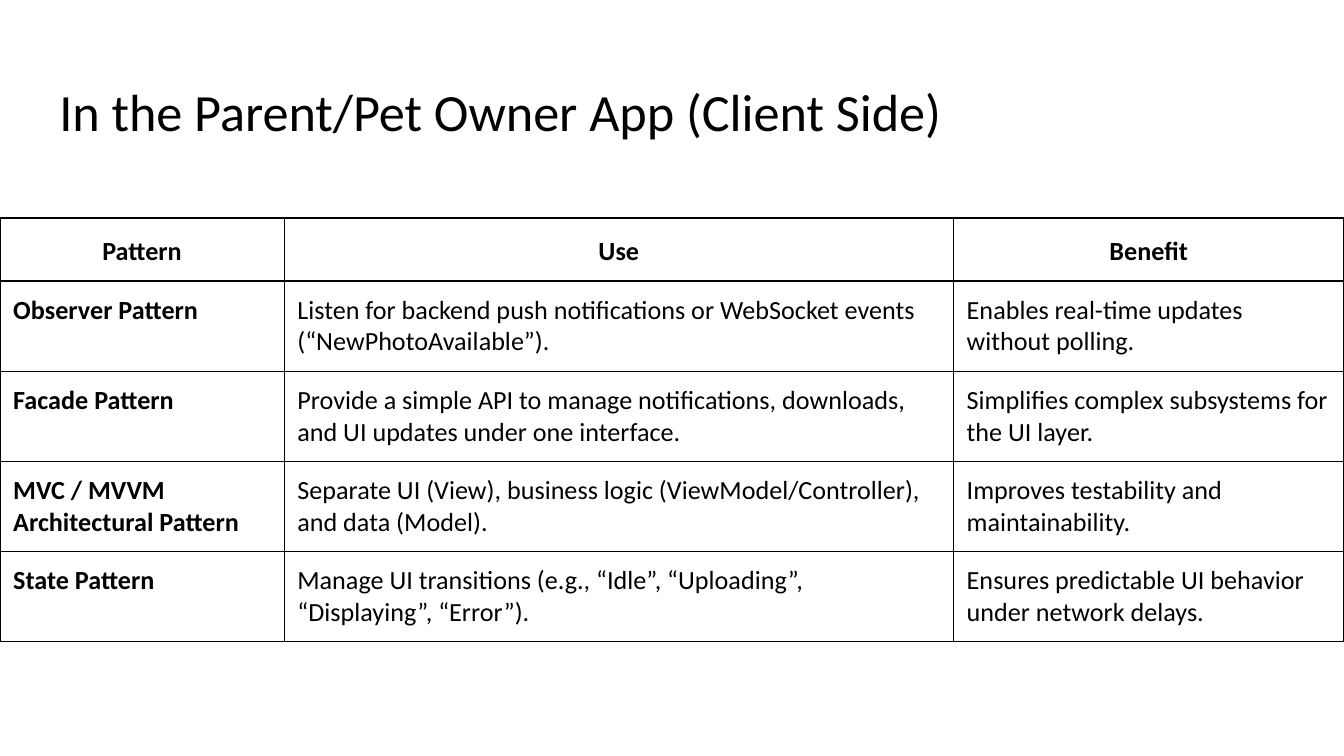
from lxml.etree import SubElement
from pptx import Presentation
from pptx.dml.color import RGBColor
from pptx.enum.text import MSO_ANCHOR, PP_ALIGN
from pptx.oxml.ns import qn
from pptx.util import Cm, Pt

COLORS = {"ink": "000000", "line": "000000"}
INSET = Cm(0.25)

HEAD = ["Pattern", "Use", "Benefit"]
ROWS = [
    ["Observer Pattern",
     "Listen for backend push notifications or WebSocket events (“NewPhotoAvailable”).",
     "Enables real-time updates without polling."],
    ["Facade Pattern",
     "Provide a simple API to manage notifications, downloads, and UI updates under one interface.",
     "Simplifies complex subsystems for the UI layer."],
    ["MVC / MVVM Architectural Pattern",
     "Separate UI (View), business logic (ViewModel/Controller), and data (Model).",
     "Improves testability and maintainability."],
    ["State Pattern",
     "Manage UI transitions (e.g., “Idle”, “Uploading”, “Displaying”, “Error”).",
     "Ensures predictable UI behavior under network delays."],
]


def write(frame, text, size=14, bold=False, align=PP_ALIGN.LEFT, space=1.0):
    par = frame.paragraphs[0]
    par.alignment = align
    par.line_spacing = space
    run = par.add_run()
    run.text = text
    run.font.name = "Calibri"
    run.font.size = Pt(size)
    run.font.bold = bold
    run.font.color.rgb = RGBColor.from_string(COLORS["ink"])


def inset(item):
    item.margin_left = item.margin_right = INSET
    item.margin_top = item.margin_bottom = INSET
    item.vertical_anchor = MSO_ANCHOR.TOP


class Deck:
    def __init__(self, slide):
        self.slide = slide

    def title(self, text, left, top, width, height):
        shape = self.slide.shapes.title
        shape.left, shape.top = Cm(left), Cm(top)
        shape.width, shape.height = Cm(width), Cm(height)
        frame = shape.text_frame
        frame.word_wrap = True
        inset(frame)
        write(frame, text, size=28)

    def border(self, cell, width=0.75):
        props = cell._tc.get_or_add_tcPr()
        for side in ("lnL", "lnR", "lnT", "lnB"):
            line = SubElement(props, qn(f"a:{side}"), w=str(Pt(width)))
            fill = SubElement(line, qn("a:solidFill"))
            SubElement(fill, qn("a:srgbClr"), val=COLORS["line"])

    def table(self, head, rows, left, top, widths, heights):
        grid = self.slide.shapes.add_table(
            len(heights), len(widths), Cm(left), Cm(top),
            Cm(sum(widths)), Cm(sum(heights))).table
        grid.horz_banding = False
        for col, width in zip(grid.columns, widths):
            col.width = Cm(width)
        for row, height in zip(grid.rows, heights):
            row.height = Cm(height)
        for r, texts in enumerate([head] + rows):
            for c, text in enumerate(texts):
                cell = grid.cell(r, c)
                inset(cell)
                self.border(cell)
                cell.fill.background()
                style = {"align": PP_ALIGN.CENTER, "space": 1.15} if r == 0 else {}
                write(cell.text_frame, text, bold=r == 0 or c == 0, **style)


def main():
    prs = Presentation()
    prs.slide_width, prs.slide_height = Cm(25.4), Cm(14.29)
    deck = Deck(prs.slides.add_slide(prs.slide_layouts[5]))

    # Heading
    deck.title("In the Parent/Pet Owner App (Client Side)", 0.87, 1.24, 23.67, 1.7)

    # Pattern table, across the full slide
    deck.table(HEAD, ROWS, 0, 4.12, widths=[5.37, 12.65, 7.38],
               heights=[1.19] + [1.69] * len(ROWS))

    prs.save("out.pptx")


if __name__ == "__main__":
    main()
